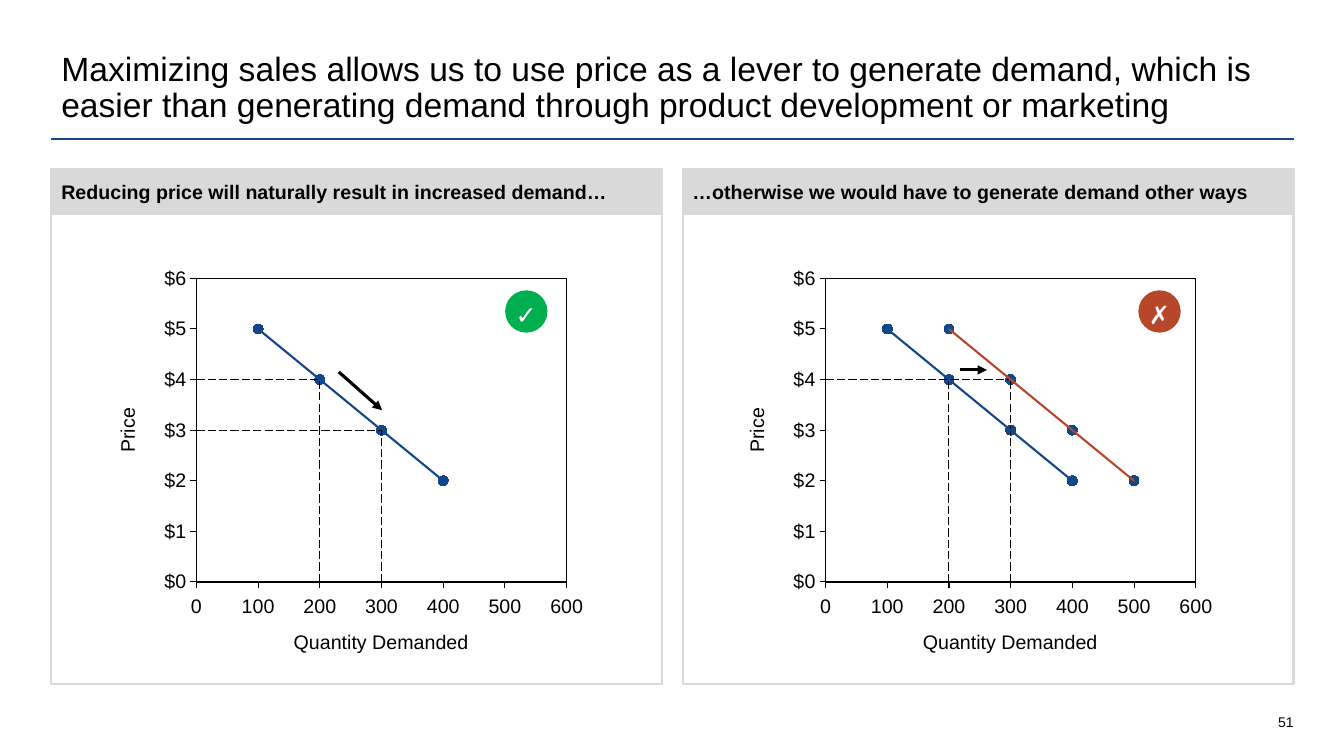
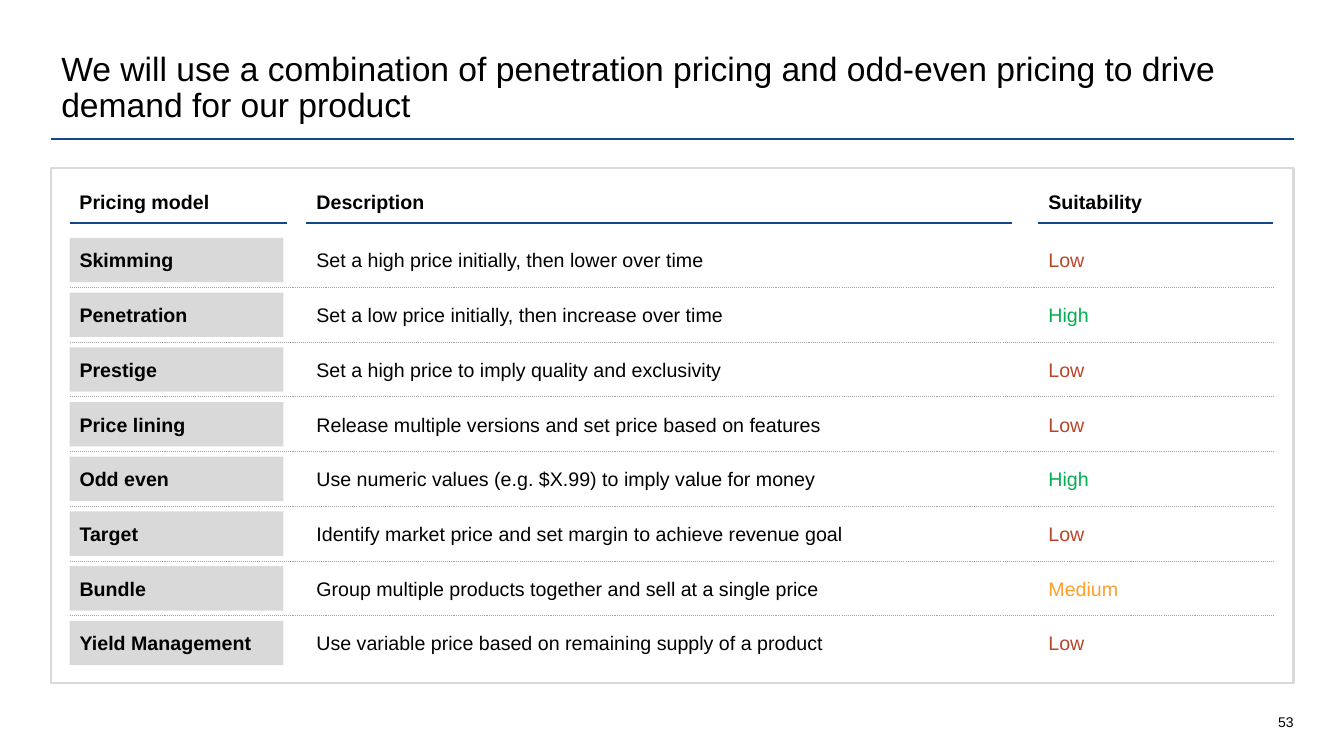
import pptx
import pptx.chart.data
import pptx.dml.color
import pptx.enum.chart
import pptx.enum.dml
import pptx.enum.shapes
import pptx.enum.text
import pptx.oxml
import pptx.oxml.ns
import pptx.util

Inches = pptx.util.Inches
Pt = pptx.util.Pt
qn = pptx.oxml.ns.qn
ALIGN = pptx.enum.text.PP_ALIGN
ANCHOR = pptx.enum.text.MSO_ANCHOR
SHAPE = pptx.enum.shapes.MSO_SHAPE
DASH = pptx.enum.dml.MSO_LINE

FONT = "Arial"
BLACK, WHITE, BLUE, GREY, DOTS = "000000", "FFFFFF", "14478A", "D9D9D9", "A3A3A3"
RED, GREEN, AMBER = "B7472A", "00B050", "FF9F29"
INSETS = (0.1, 0.05)
MARGIN, CONTENT_W = 0.51, 12.32
CHART_W, CHART_H = 4.27, 3.3
PLOT = {"x": 0.119, "y": 0.043, "w": 0.86, "h": 0.913}
AXIS_MAX = 6
RATING_COLORS = {"Low": RED, "Medium": AMBER, "High": GREEN}

PRICING_MODELS = [
    ("Skimming", "Set a high price initially, then lower over time", "Low"),
    ("Penetration", "Set a low price initially, then increase over time", "High"),
    ("Prestige", "Set a high price to imply quality and exclusivity", "Low"),
    ("Price lining", "Release multiple versions and set price based on features", "Low"),
    ("Odd even", "Use numeric values (e.g. $X.99) to imply value for money", "High"),
    ("Target", "Identify market price and set margin to achieve revenue goal", "Low"),
    ("Bundle", "Group multiple products together and sell at a single price", "Medium"),
    ("Yield Management", "Use variable price based on remaining supply of a product", "Low"),
]


def rgb(color):
    """Turn a hex string into a colour."""
    return pptx.dml.color.RGBColor.from_string(color)


def paint_line(line, color, width, dash=None):
    """Style an outline, axis or connector line."""
    line.color.rgb = rgb(color)
    line.width = Pt(width)
    if dash:
        line.dash_style = dash


def write(sp, text, size=14, color=BLACK, bold=False, align=ALIGN.LEFT,
          anchor=ANCHOR.MIDDLE, insets=INSETS, wrap=True, spacing=None, after=None):
    """Write one paragraph into a shape."""
    tf = sp.text_frame
    tf.word_wrap = wrap
    tf.vertical_anchor = anchor
    tf.margin_left = tf.margin_right = Inches(insets[0])
    tf.margin_top = tf.margin_bottom = Inches(insets[1])
    p = tf.paragraphs[0]
    p.text = text
    p.alignment = align
    if spacing:
        p.line_spacing = spacing
    if after:
        p.space_after = Pt(after)
    p.font.name = FONT
    p.font.size = Pt(size)
    p.font.bold = bold
    p.font.color.rgb = rgb(color)


def add_text(slide, x, y, w, h, text, **style):
    """Add a text box."""
    sp = slide.shapes.add_textbox(Inches(x), Inches(y), Inches(w), Inches(h))
    write(sp, text, **style)
    return sp


def add_label(slide, x, y, w, h, text, anchor=ANCHOR.TOP):
    """Add an unwrapped, centred chart label."""
    return add_text(slide, x, y, w, h, text, align=ALIGN.CENTER, anchor=anchor,
                    insets=(0, 0), wrap=False, spacing=0.9)


def add_box(slide, x, y, w, h, fill, line=None, kind=SHAPE.RECTANGLE):
    """Add a filled shape, outlined if a line colour is given."""
    sp = slide.shapes.add_shape(kind, Inches(x), Inches(y), Inches(w), Inches(h))
    sp.shadow.inherit = False
    sp.fill.solid()
    sp.fill.fore_color.rgb = rgb(fill)
    if line:
        paint_line(sp.line, line, 1.5)
    else:
        sp.line.fill.background()
    return sp


def add_line(slide, start, end, color=BLACK, width=0.75, dash=None, arrow=False):
    """Add a straight line between two points."""
    cx = slide.shapes.add_connector(pptx.enum.shapes.MSO_CONNECTOR.STRAIGHT,
                                    *(Inches(v) for v in (*start, *end)))
    paint_line(cx.line, color, width, dash)
    sp_pr = cx.element.spPr
    if arrow:
        ln = sp_pr.find(qn("a:ln"))
        ln.append(ln.makeelement(qn("a:tailEnd"), {"type": "triangle"}))
    sp_pr.append(sp_pr.makeelement(qn("a:effectLst"), {}))


def add_slide(prs, title, number):
    """Add a slide with its title, rule and page number."""
    slide = prs.slides.add_slide(prs.slide_layouts[6])
    add_line(slide, (MARGIN, 1.38), (MARGIN + CONTENT_W, 1.38), BLUE, 1.5)
    add_text(slide, 12.19, 6.92, 0.64, 0.33, number, size=10, align=ALIGN.RIGHT,
             anchor=ANCHOR.BOTTOM, insets=(0, 0))
    add_text(slide, MARGIN, 0.4, CONTENT_W, 0.89, title, size=24,
             anchor=ANCHOR.BOTTOM, spacing=0.9)
    return slide


def add_panel(slide, x, y, w, h, heading):
    """Add a framed panel with a heading band."""
    add_box(slide, x, y, w, h, WHITE, GREY)
    write(add_box(slide, x, y, w, 0.44, GREY, GREY), heading, bold=True, after=3)


def style_plot(chart, trend):
    """Fix the plot area, frame it and add a trend line if wanted."""
    ns = pptx.oxml.ns.nsdecls("c", "a")
    area = chart._chartSpace.chart.plotArea
    for old in area.findall(qn("c:layout")):
        area.remove(old)
    spots = "".join(f'<c:{k} val="{v}"/>' for k, v in PLOT.items())
    area.insert(0, pptx.oxml.parse_xml(
        f'<c:layout {ns}><c:manualLayout><c:layoutTarget val="inner"/>'
        f'<c:xMode val="edge"/><c:yMode val="edge"/>{spots}</c:manualLayout></c:layout>'))

    def outline(color, width):
        return (f'<c:spPr {ns}><a:ln w="{Pt(width)}"><a:solidFill>'
                f'<a:srgbClr val="{color}"/></a:solidFill></a:ln></c:spPr>')

    area.append(pptx.oxml.parse_xml(outline(BLACK, 0.75)))
    if trend:
        area.find(".//" + qn("c:xVal")).addprevious(pptx.oxml.parse_xml(
            f'<c:trendline {ns}>{outline(BLUE, 1.5)}<c:trendlineType val="linear"/>'
            '<c:dispRSqr val="0"/><c:dispEq val="0"/></c:trendline>'))


def add_scatter(slide, x, y, points, trend):
    """Add the price and quantity scatter chart."""
    data = pptx.chart.data.XyChartData()
    series = data.add_series("Series 1")
    for point in points:
        series.add_data_point(*point)
    chart = slide.shapes.add_chart(
        pptx.enum.chart.XL_CHART_TYPE.XY_SCATTER, Inches(x), Inches(y),
        Inches(CHART_W), Inches(CHART_H), data).chart
    chart.has_legend = chart.has_title = False
    chart.font.name = FONT
    chart.font.size = Pt(14)
    chart.font.color.rgb = rgb(BLACK)
    for axis in (chart.category_axis, chart.value_axis):
        axis.minimum_scale, axis.maximum_scale, axis.major_unit = 0, AXIS_MAX, 1
        axis.has_major_gridlines = False
        axis.major_tick_mark = pptx.enum.chart.XL_TICK_MARK.OUTSIDE
        axis.minor_tick_mark = pptx.enum.chart.XL_TICK_MARK.NONE
        paint_line(axis.format.line, BLACK, 0.75)
    chart.category_axis.tick_label_position = pptx.enum.chart.XL_TICK_LABEL_POSITION.NONE
    labels = chart.value_axis.tick_labels
    labels.number_format = '"$"#,##0;"-""$"#,##0'
    labels.number_format_is_linked = False
    plot = chart.plots[0]
    plot.vary_by_categories = False
    ser = plot.series[0]
    ser.format.line.fill.background()
    ser.marker.style = pptx.enum.chart.XL_MARKER_STYLE.CIRCLE
    ser.marker.size = 7
    ser.marker.format.fill.solid()
    ser.marker.format.fill.fore_color.rgb = rgb(BLUE)
    ser.marker.format.line.color.rgb = rgb(BLUE)
    style_plot(chart, trend)


def add_demand_chart(slide, x, y, points, guides, curves=(), trend=False):
    """Add a demand chart with axis labels, dashed guides and demand curves."""
    def at(quantity, price):
        return (x + CHART_W * (PLOT["x"] + PLOT["w"] * quantity / AXIS_MAX),
                y + CHART_H * (PLOT["y"] + PLOT["h"] * (1 - price / AXIS_MAX)))

    add_scatter(slide, x, y, points, trend)
    for tick in range(AXIS_MAX + 1):
        add_label(slide, at(tick, 0)[0] - 0.19, y + 3.3, 0.38, 0.21, str(tick * 100))
    for start, end in guides:
        add_line(slide, at(*start), at(*end), dash=DASH.LONG_DASH)
    for start, end, color in curves:
        add_line(slide, at(*start), at(*end), color, 1.5)
    price = add_label(slide, x - 0.27, y + 1.41, 0.21, 0.48, "Price", ANCHOR.BOTTOM)
    price.element.txBody.bodyPr.set("vert", "vert270")
    add_label(slide, x + 1.43, y + 3.66, 1.82, 0.21, "Quantity Demanded")


def add_badge(slide, x, y, mark, color):
    """Add a round verdict badge."""
    write(add_box(slide, x, y, 0.42, 0.42, color, kind=SHAPE.OVAL), mark, size=18,
          color=WHITE, bold=True, align=ALIGN.CENTER, insets=(0.1, 0.12),
          wrap=False, spacing=1.2)


def build_demand_slide(prs):
    """Compare moving along the demand curve with shifting it."""
    slide = add_slide(prs, "Maximizing sales allows us to use price as a lever to generate "
                      "demand, which is easier than generating demand through product "
                      "development or marketing", "51")
    add_panel(slide, MARGIN, 1.68, 6.06, 5.11,
              "Reducing price will naturally result in increased demand…")
    add_panel(slide, 6.77, 1.68, 6.06, 5.11,
              "…otherwise we would have to generate demand other ways")
    demand = [(1, 5), (2, 4), (3, 3), (4, 2)]
    shifted = [(q + 1, p) for q, p in demand]
    add_demand_chart(slide, 1.44, 2.62, demand,
                     [((0, 3), (3, 3)), ((2, 0), (2, 4)), ((3, 0), (3, 3)), ((0, 4), (2, 4))],
                     trend=True)
    add_demand_chart(slide, 7.68, 2.62, demand + shifted,
                     [((3, 0), (3, 4)), ((0, 4), (3, 4)), ((2, 0), (2, 4))],
                     [(demand[0], demand[-1], BLUE), (shifted[0], shifted[-1], RED)])
    add_line(slide, (3.36, 3.69), (3.79, 4.07), width=2.25, arrow=True)
    add_line(slide, (9.52, 3.67), (9.79, 3.67), width=2.25, arrow=True)
    add_badge(slide, 5.01, 2.88, "✓", GREEN)
    add_badge(slide, 11.29, 2.88, "✗", RED)


def add_model_grid(slide, x, y, w, h):
    """Lay out the pricing models in a framed grid."""
    add_box(slide, x, y, w, h, WHITE, GREY)
    left, right = x + 0.18, x + w - 0.2
    row_h, first = 0.44, y + 0.69
    pitch = (h - 0.69 - 0.18 - row_h) / (len(PRICING_MODELS) - 1)
    columns = [("Pricing model", left, 2.16, 2.12),
               ("Description", x + 2.53, 7, 6.9),
               ("Suitability", x + 9.79, 2.33, 2.31)]
    for i in range(1, len(PRICING_MODELS)):
        line_y = first + i * pitch - 0.05
        add_line(slide, (left, line_y), (right, line_y), DOTS, dash=DASH.ROUND_DOT)
    for c, (heading, col_x, rule_w, cell_w) in enumerate(columns):
        add_text(slide, col_x, y + 0.12, rule_w, 0.36, heading, bold=True,
                 anchor=ANCHOR.TOP, spacing=1.2)
        add_line(slide, (col_x, y + 0.54), (col_x + rule_w, y + 0.54), BLUE, 1.5)
        for i, model in enumerate(PRICING_MODELS):
            sp = add_box(slide, col_x, first + i * pitch, cell_w, row_h,
                         WHITE if c else GREY)
            write(sp, model[c], bold=c == 0, color=RATING_COLORS.get(model[c], BLACK))


def build_pricing_slide(prs):
    """Rate each pricing model."""
    slide = add_slide(prs, "We will use a combination of penetration pricing and odd-even "
                      "pricing to drive demand for our product", "53")
    add_model_grid(slide, MARGIN, 1.67, CONTENT_W, 5.11)


def main():
    """Build and save the presentation."""
    prs = pptx.Presentation()
    prs.slide_width = Inches(13.33)
    prs.slide_height = Inches(7.5)
    build_demand_slide(prs)
    build_pricing_slide(prs)
    prs.save("out.pptx")


if __name__ == "__main__":
    main()
